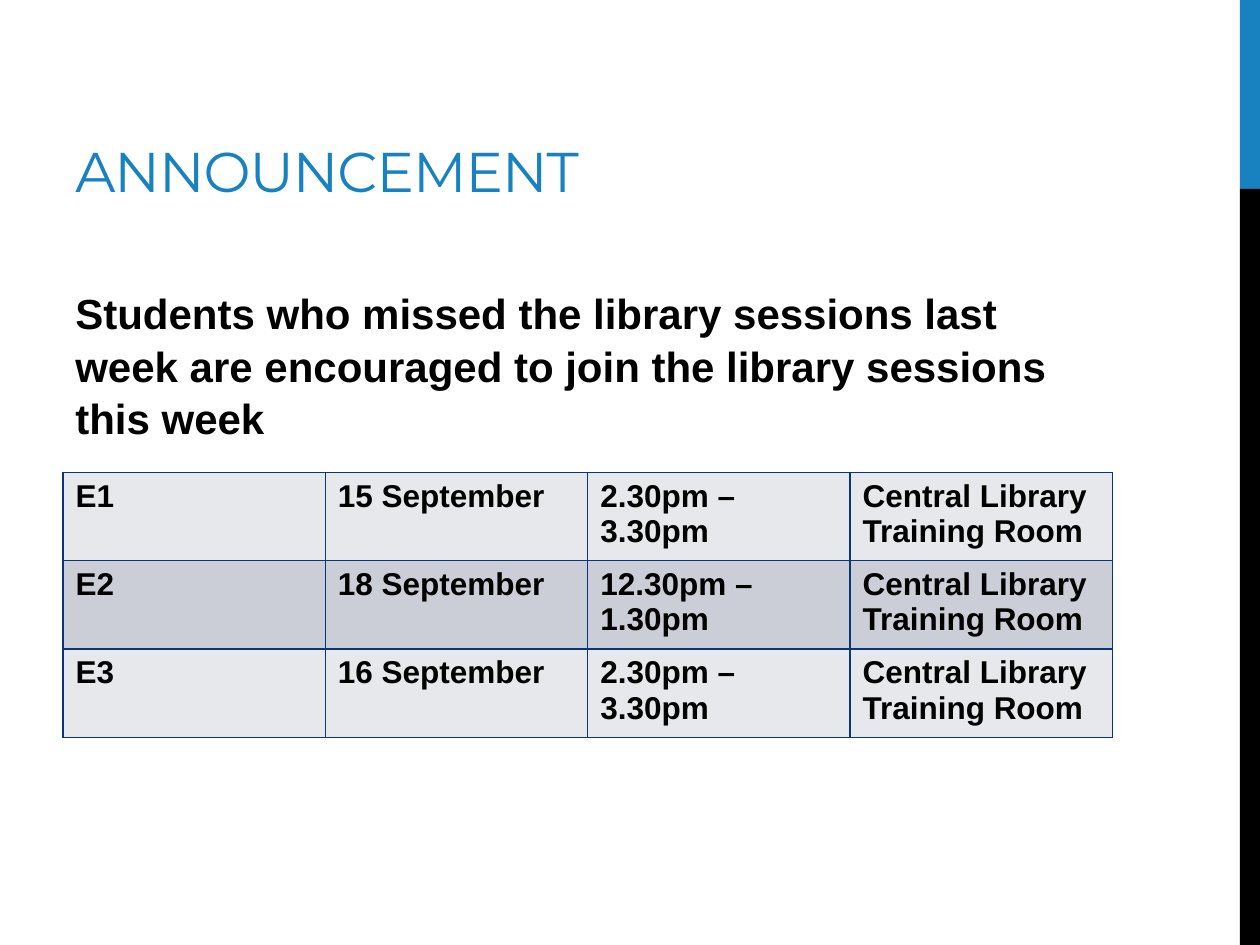
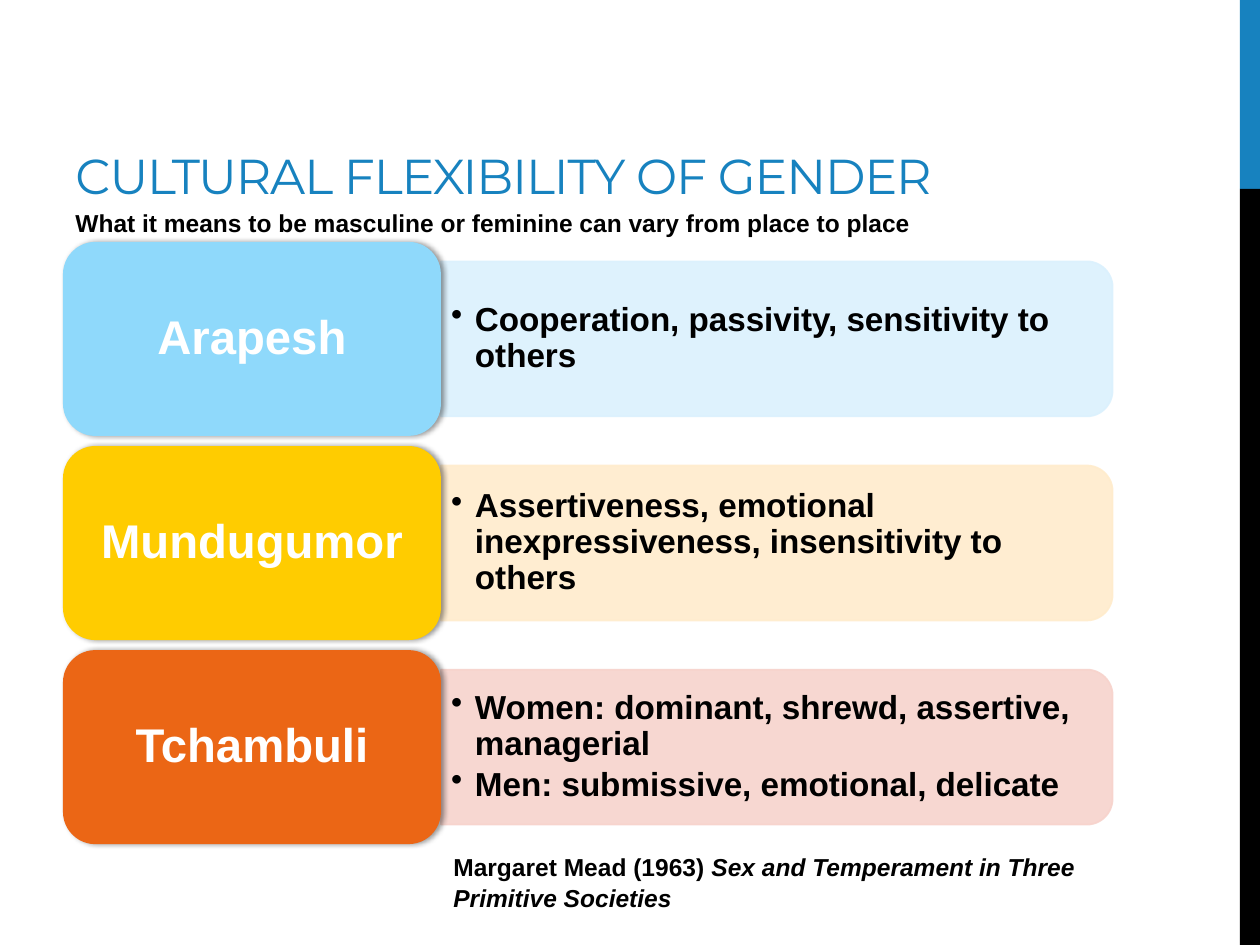
from lxml.etree import SubElement
from pptx import Presentation
from pptx.dml.color import RGBColor
from pptx.enum.shapes import MSO_SHAPE as Shape
from pptx.enum.text import MSO_ANCHOR as Anchor, PP_ALIGN as Align
from pptx.oxml.ns import qn
from pptx.util import Inches, Pt

BLUE = RGBColor(0x17, 0x82, 0xBF)
BLACK = RGBColor(0, 0, 0)
WHITE = RGBColor(0xFF, 0xFF, 0xFF)
BORDER = RGBColor(0x07, 0x37, 0x79)
ROW_FILLS = [RGBColor(0xE7, 0xE8, 0xEC), RGBColor(0xCC, 0xCE, 0xD7)]
SKY, PALE_SKY = RGBColor(0x8F, 0xD9, 0xFB), RGBColor(0xDB, 0xF1, 0xFD)
YELLOW, PALE_YELLOW = RGBColor(0xFF, 0xCC, 0x00), RGBColor(0xFF, 0xEC, 0xCC)
ORANGE, PALE_ORANGE = RGBColor(0xEB, 0x66, 0x15), RGBColor(0xF7, 0xD3, 0xCC)

LEFT = 0.5
CONTENT_WIDTH = 8.33
LABEL_WIDTH, LABEL_HEIGHT = 3, 1.54
PANEL_LEFT = LEFT + LABEL_WIDTH
PANEL_WIDTH, PANEL_HEIGHT = CONTENT_WIDTH - LABEL_WIDTH, 1.23
FIRST_LABEL_TOP, LABEL_PITCH = 1.92, 1.62

BODY = {"name": "Arial", "bold": True, "color": BLACK}

SESSIONS = [
    ["E1", "15 September", "2.30pm – 3.30pm", "Central Library Training Room"],
    ["E2", "18 September", "12.30pm – 1.30pm", "Central Library Training Room"],
    ["E3", "16 September", "2.30pm – 3.30pm", "Central Library Training Room"],
]
CULTURES = [
    ("Arapesh", SKY, PALE_SKY,
     ["Cooperation, passivity, sensitivity to others"]),
    ("Mundugumor", YELLOW, PALE_YELLOW,
     ["Assertiveness, emotional inexpressiveness, insensitivity to others"]),
    ("Tchambuli", ORANGE, PALE_ORANGE,
     ["Women: dominant, shrewd, assertive, managerial",
      "Men: submissive, emotional, delicate"]),
]


def set_values(target, values):
    for name, value in values.items():
        setattr(target, name, value)


def add_span(para, text, size, **changes):
    span = para.add_run()
    span.text = text
    values = {**BODY, "size": Pt(size), **changes}
    span.font.color.rgb = values.pop("color")
    set_values(span.font, values)
    return span


def set_margins(frame, side, top):
    set_values(frame, {
        "margin_left": Inches(side), "margin_right": Inches(side),
        "margin_top": Inches(top), "margin_bottom": Inches(top),
    })


def add_box(slide, left, top, width, height, anchor=Anchor.TOP):
    box = slide.shapes.add_textbox(
        Inches(left), Inches(top), Inches(width), Inches(height))
    set_values(box.text_frame, {"word_wrap": True, "vertical_anchor": anchor})
    return box.text_frame


def add_text(slide, left, top, width, height, size, spans):
    para = add_box(slide, left, top, width, height).paragraphs[0]
    para.line_spacing = 1.05
    for text, changes in spans:
        add_span(para, text, size, **changes)


def add_filled(slide, kind, left, top, width, height, color):
    shape = slide.shapes.add_shape(
        kind, Inches(left), Inches(top), Inches(width), Inches(height))
    shape.shadow.inherit = False
    shape.fill.solid()
    shape.fill.fore_color.rgb = color
    shape.line.fill.background()
    return shape


def add_page(deck, title, title_size, title_width):
    page = deck.slides.add_slide(deck.slide_layouts[6])
    add_filled(page, Shape.RECTANGLE, 9.84, 0, 0.16, 1.5, BLUE)
    add_filled(page, Shape.RECTANGLE, 9.84, 1.5, 0.16, 6, BLACK)
    frame = add_box(page, LEFT, 0.17, title_width, 1.5, Anchor.BOTTOM)
    span = add_span(frame.paragraphs[0], title, title_size,
                    name="Montserrat", bold=False, color=BLUE)
    span.font._element.set("spc", "-60")
    return page


def add_borders(cell):
    properties = cell._tc.get_or_add_tcPr()
    for index, side in enumerate(("lnL", "lnR", "lnT", "lnB")):
        line = properties.makeelement(qn(f"a:{side}"), {"w": str(Pt(1))})
        fill = SubElement(line, qn("a:solidFill"))
        SubElement(fill, qn("a:srgbClr"), val=str(BORDER))
        properties.insert(index, line)


def add_session_table(slide, rows):
    table = slide.shapes.add_table(
        len(rows), len(rows[0]), Inches(LEFT), Inches(3.75),
        Inches(CONTENT_WIDTH), Inches(0.66 * len(rows))).table
    set_values(table, {"first_row": False, "horz_banding": False})
    for row_index, row in enumerate(rows):
        for column_index, text in enumerate(row):
            cell = table.cell(row_index, column_index)
            cell.fill.solid()
            cell.fill.fore_color.rgb = ROW_FILLS[row_index % 2]
            add_span(cell.text_frame.paragraphs[0], text, 18)
            add_borders(cell)


def set_opacity(fill_owner, percent):
    for color in fill_owner.iter(qn("a:srgbClr")):
        SubElement(color, qn("a:alpha"), val=str(percent * 1000))


def add_soft_shadow(shape):
    effects = shape._element.spPr.find(qn("a:effectLst"))
    shadow = SubElement(effects, qn("a:outerShdw"), blurRad=str(Pt(3.1)),
                        dist=str(Pt(1.8)), dir="0", rotWithShape="0")
    color = SubElement(shadow, qn("a:srgbClr"), val=str(BLACK))
    SubElement(color, qn("a:alpha"), val="40000")


def add_bullet(para):
    properties = para._p.get_or_add_pPr()
    properties.set("marL", str(Inches(0.19)))
    properties.set("indent", str(Inches(-0.19)))
    SubElement(properties, qn("a:buChar"), char="•")


def add_panel(slide, middle, color, traits):
    panel = add_filled(
        slide, Shape.ROUND_2_SAME_RECTANGLE,
        PANEL_LEFT + (PANEL_WIDTH - PANEL_HEIGHT) / 2,
        middle - PANEL_WIDTH / 2, PANEL_HEIGHT, PANEL_WIDTH, color)
    panel.rotation = 90
    panel.line.color.rgb = color
    panel.line.width = Pt(1)
    set_opacity(panel._element.spPr, 90)
    frame = add_box(slide, PANEL_LEFT, middle - 0.555, 5.27, 1.11,
                    Anchor.MIDDLE)
    set_margins(frame, 0.08, 0.04)
    for index, trait in enumerate(traits):
        para = frame.add_paragraph() if index else frame.paragraphs[0]
        set_values(para, {"level": 1, "line_spacing": 0.9,
                          "space_after": Pt(3)})
        add_bullet(para)
        add_span(para, trait, 19)


def add_label(slide, top, color, name):
    label = add_filled(slide, Shape.ROUNDED_RECTANGLE, LEFT, top,
                       LABEL_WIDTH, LABEL_HEIGHT, color)
    add_soft_shadow(label)
    frame = label.text_frame
    set_values(frame, {"word_wrap": True, "vertical_anchor": Anchor.MIDDLE})
    set_margins(frame, 0.11, 0.06)
    para = frame.paragraphs[0]
    set_values(para, {"alignment": Align.CENTER, "line_spacing": 0.9})
    add_span(para, name, 27, color=WHITE)


def add_announcement(deck):
    page = add_page(deck, "ANNOUNCEMENT", 32, 6.33)
    add_session_table(page, SESSIONS)
    add_text(page, LEFT, 2.21, CONTENT_WIDTH, 1.31, 24, [
        ("Students who missed the library sessions last week are encouraged "
         "to join the library sessions this week", {})])


def add_cultures(deck):
    page = add_page(deck, "CULTURAL FLEXIBILITY OF GENDER", 28, 9.26)
    for index, (name, color, pale, traits) in enumerate(CULTURES):
        top = FIRST_LABEL_TOP + index * LABEL_PITCH
        add_panel(page, top + LABEL_HEIGHT / 2, pale, traits)
        add_label(page, top, color, name)
    add_text(page, PANEL_LEFT, 6.7, 5.24, 0.57, 14, [
        ("Margaret Mead (1963) ", {}),
        ("Sex and Temperament in Three Primitive Societies",
         {"italic": True})])
    add_text(page, LEFT, 1.59, 7.06, 0.34, 14, [
        ("What it means to be masculine or feminine can vary from place "
         "to place", {})])


def main():
    deck = Presentation()
    set_values(deck, {"slide_width": Inches(10), "slide_height": Inches(7.5)})
    add_announcement(deck)
    add_cultures(deck)
    deck.save("out.pptx")


main()
